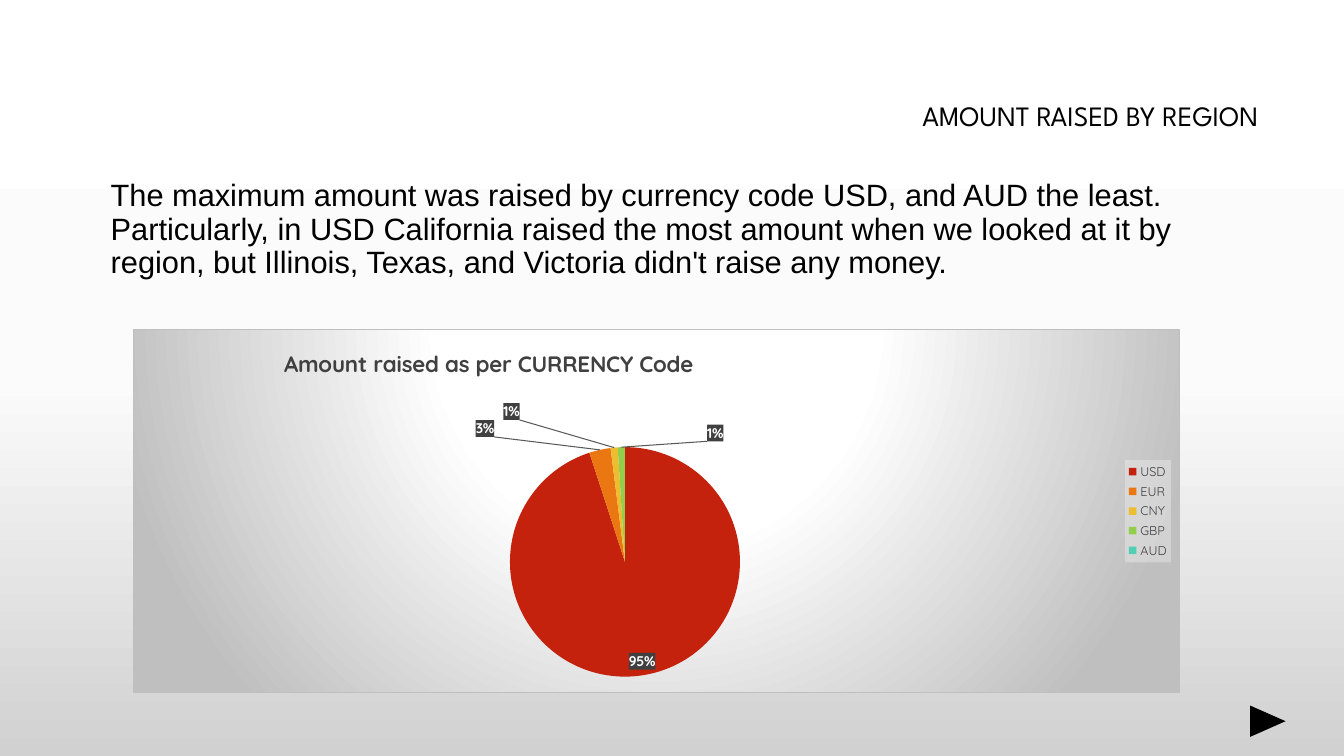
from dataclasses import dataclass

from lxml import etree
from pptx import Presentation
from pptx import util as u
from pptx.chart.data import CategoryChartData
from pptx.dml.color import RGBColor
from pptx.enum import chart as charts, shapes, text
from pptx.oxml.ns import qn

NS = ('xmlns:a="http://schemas.openxmlformats.org/drawingml/2006/main" '
      'xmlns:c="http://schemas.openxmlformats.org/drawingml/2006/chart"')
BODY_FONT, CHART_FONT = "Arial", "Quicksand"


@dataclass
class Currency:
    code: str
    share: int
    colour: str
    label_shift: tuple[float, float] | None = None  # fraction of the chart size


CURRENCIES = [
    Currency("USD", 95, "C4220D"),
    Currency("EUR", 3, "EB7712", (-0.1, -0.02)),
    Currency("CNY", 1, "ECBD31", (-0.09, -0.06)),
    Currency("GBP", 1, "92CE4A", (0.09, 0)),
    Currency("AUD", 0, "50CFB4", (0, -0.04)),
]


def rgb(colour: str) -> RGBColor:
    return RGBColor.from_string(colour)


def style_font(font, size: float, colour: str, name: str, bold: bool = False) -> None:
    font.size, font.name, font.bold = u.Pt(size), name, bold
    font.color.rgb = rgb(colour)


def add_text(slide, content: str, box: tuple, *, size: float, font: str,
             align=text.PP_ALIGN.LEFT, anchor=text.MSO_ANCHOR.TOP, before: float = 0) -> None:
    frame = slide.shapes.add_textbox(*map(u.Inches, box)).text_frame
    frame.word_wrap = True
    frame.vertical_anchor = anchor
    paragraph = frame.paragraphs[0]
    paragraph.alignment, paragraph.line_spacing = align, 0.9
    paragraph.space_before = u.Pt(before)
    run = paragraph.add_run()
    run.text = content
    style_font(run.font, size, "000000", font)


def xml(markup: str):
    """Parse one element, declaring the drawing and chart namespaces on it."""
    head, tail = markup.split(">", 1)
    return etree.fromstring(f"{head} {NS}>{tail}")


def gradient(stops: list[tuple[int, str]], direction: str) -> str:
    marks = "".join(f'<a:gs pos="{pos * 1000}"><a:srgbClr val="{colour}"/></a:gs>'
                    for pos, colour in stops)
    return f'<a:gradFill rotWithShape="1"><a:gsLst>{marks}</a:gsLst>{direction}</a:gradFill>'


def layout(x: float, y: float, size: tuple[float, float] | None = None,
           inner: bool = False, edge: bool = False) -> str:
    parts = '<c:layoutTarget val="inner"/>' if inner else ""
    if edge:
        parts += '<c:xMode val="edge"/><c:yMode val="edge"/>'
    parts += f'<c:x val="{x}"/><c:y val="{y}"/>'
    if size:
        parts += f'<c:w val="{size[0]}"/><c:h val="{size[1]}"/>'
    return f"<c:layout><c:manualLayout>{parts}</c:manualLayout></c:layout>"


def set_layout(parent, markup: str, after: str | None = None) -> None:
    for old in parent.findall(qn("c:layout")):
        parent.remove(old)
    if after:
        parent.find(qn(after)).addnext(xml(markup))
    else:
        parent.insert(0, xml(markup))


def percent_labels() -> str:
    flags = "".join(f'<c:show{name} val="{int(name == "Percent")}"/>' for name in
                    ("LegendKey", "Val", "CatName", "SerName", "Percent", "BubbleSize"))
    look = ('<c:spPr><a:solidFill><a:srgbClr val="404040"/></a:solidFill></c:spPr>'
            '<c:txPr><a:bodyPr/><a:p><a:pPr><a:defRPr sz="1000" b="1">'
            '<a:solidFill><a:srgbClr val="FFFFFF"/></a:solidFill>'
            f'<a:latin typeface="{CHART_FONT}"/></a:defRPr></a:pPr></a:p></c:txPr>'
            f'<c:dLblPos val="bestFit"/>{flags}')
    shifted = "".join(f'<c:dLbl><c:idx val="{i}"/>{layout(*item.label_shift)}{look}</c:dLbl>'
                      for i, item in enumerate(CURRENCIES) if item.label_shift)
    lines = ('<c:showLeaderLines val="1"/><c:leaderLines><c:spPr><a:ln w="9525"><a:solidFill>'
             '<a:srgbClr val="595959"/></a:solidFill></a:ln></c:spPr></c:leaderLines>')
    return f"<c:dLbls>{shifted}{look}{lines}</c:dLbls>"


def add_currency_pie(slide) -> None:
    data = CategoryChartData()
    data.categories = [item.code for item in CURRENCIES]
    data.add_series("Series 1", [item.share for item in CURRENCIES])
    box = map(u.Inches, (1.32, 3.26, 10.38, 3.62))
    pie = slide.shapes.add_chart(charts.XL_CHART_TYPE.PIE, *box, data).chart
    style_font(pie.font, 10, "000000", CHART_FONT)

    # Heading
    pie.has_title = True
    heading = pie.chart_title.text_frame
    heading.text = "Amount raised as per CURRENCY Code"
    style_font(heading.paragraphs[0].runs[0].font, 16, "404040", CHART_FONT, bold=True)
    set_layout(pie.chart_title._element, layout(0.14, 0.04, edge=True), after="c:tx")

    # Legend
    pie.has_legend = True
    pie.legend.position = charts.XL_LEGEND_POSITION.RIGHT
    pie.legend.include_in_layout = False
    style_font(pie.legend.font, 9, "404040", CHART_FONT)
    pie.legend._element.find(qn("c:txPr")).addprevious(xml(
        '<c:spPr><a:solidFill><a:srgbClr val="F2F2F2"><a:alpha val="39000"/>'
        '</a:srgbClr></a:solidFill></c:spPr>'))

    # Slices and their percentages
    plot = pie.plots[0]
    plot.vary_by_categories = True
    shares = plot.series[0]
    for i, item in enumerate(CURRENCIES):
        fill = shares.points[i].format.fill
        fill.solid()
        fill.fore_color.rgb = rgb(item.colour)
    shares._element.find(qn("c:cat")).addprevious(xml(percent_labels()))
    set_layout(plot._element.getparent(),
               layout(0.36, 0.32, (0.22, 0.64), inner=True, edge=True))

    # Chart backdrop
    glow = gradient([(0, "FFFFFF"), (39, "FFFFFF"), (100, "BFBFBF")],
                    '<a:path path="circle"><a:fillToRect l="50000" t="-80000" '
                    'r="50000" b="180000"/></a:path>')
    border = '<a:ln w="9525"><a:solidFill><a:srgbClr val="BFBFBF"/></a:solidFill></a:ln>'
    pie._chartSpace.find(qn("c:txPr")).addprevious(xml(f"<c:spPr>{glow}{border}</c:spPr>"))


def add_next_arrow(slide) -> None:
    box = map(u.Inches, (12.42, 6.98, 0.31, 0.35))
    arrow = slide.shapes.add_shape(shapes.MSO_SHAPE.ISOSCELES_TRIANGLE, *box)
    arrow.rotation = 90
    arrow.shadow.inherit = False
    arrow.fill.solid()
    arrow.fill.fore_color.rgb = rgb("000000")
    arrow.line.fill.background()


def main() -> None:
    deck = Presentation()
    deck.slide_width, deck.slide_height = u.Inches(13.33), u.Inches(7.5)
    slide = deck.slides.add_slide(deck.slide_layouts[6])

    # Background fading to grey at the foot
    slide.background.fill.solid()
    backdrop = slide.element.find(f".//{qn('p:bgPr')}")
    backdrop.replace(backdrop[0], xml(gradient(
        [(0, "FFFFFF"), (50, "FBFBFB"), (100, "D1D1D1")], '<a:lin ang="5400000" scaled="0"/>')))

    # Title and finding
    add_text(slide, "AMOUNT RAISED BY REGION", (3.16, 0.46, 9.42, 1.41), size=20,
             font="League Spartan", align=text.PP_ALIGN.RIGHT, anchor=text.MSO_ANCHOR.MIDDLE)
    add_text(slide, "The maximum amount was raised by currency code USD, and AUD the least. "
             "Particularly, in USD California raised the most amount when we looked at it by "
             "region, but Illinois, Texas, and Victoria didn't raise any money.",
             (1, 1.74, 11.33, 3.74), size=22, font=BODY_FONT, before=10)

    add_next_arrow(slide)
    add_currency_pie(slide)
    deck.save("out.pptx")


if __name__ == "__main__":
    main()
